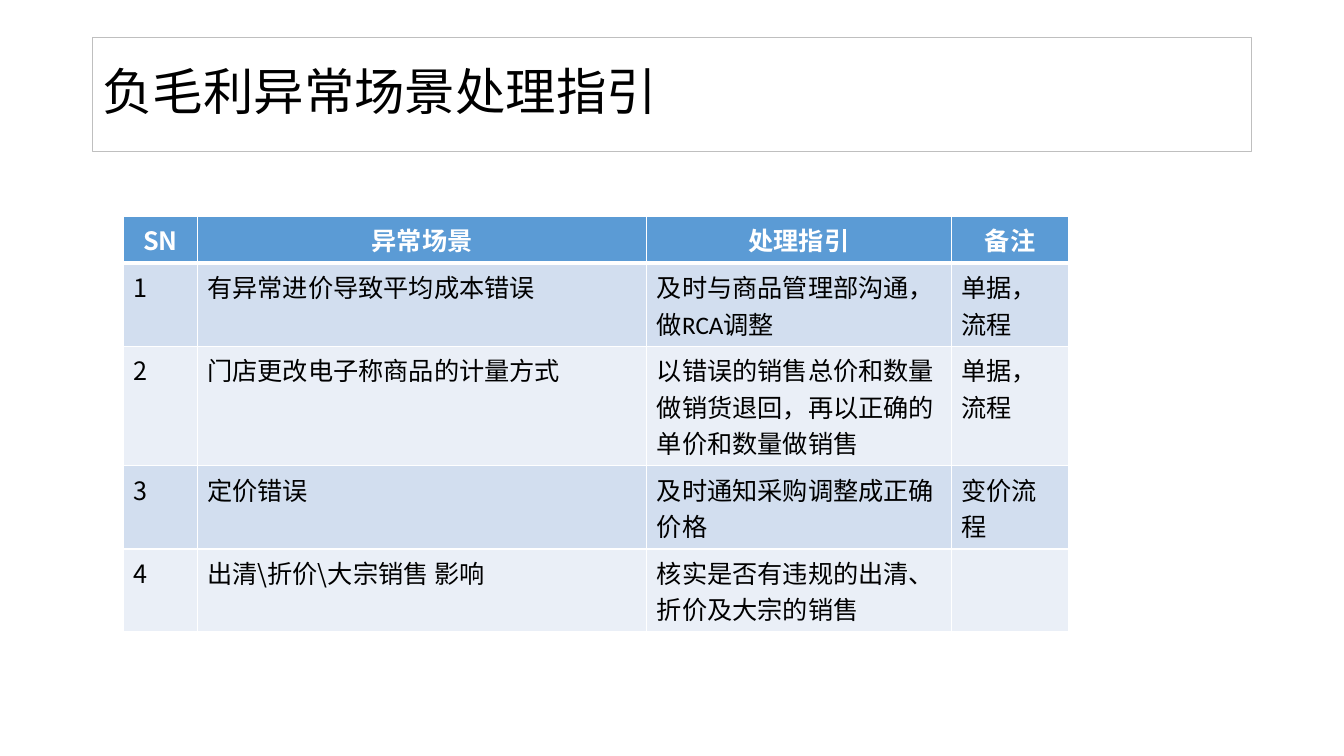
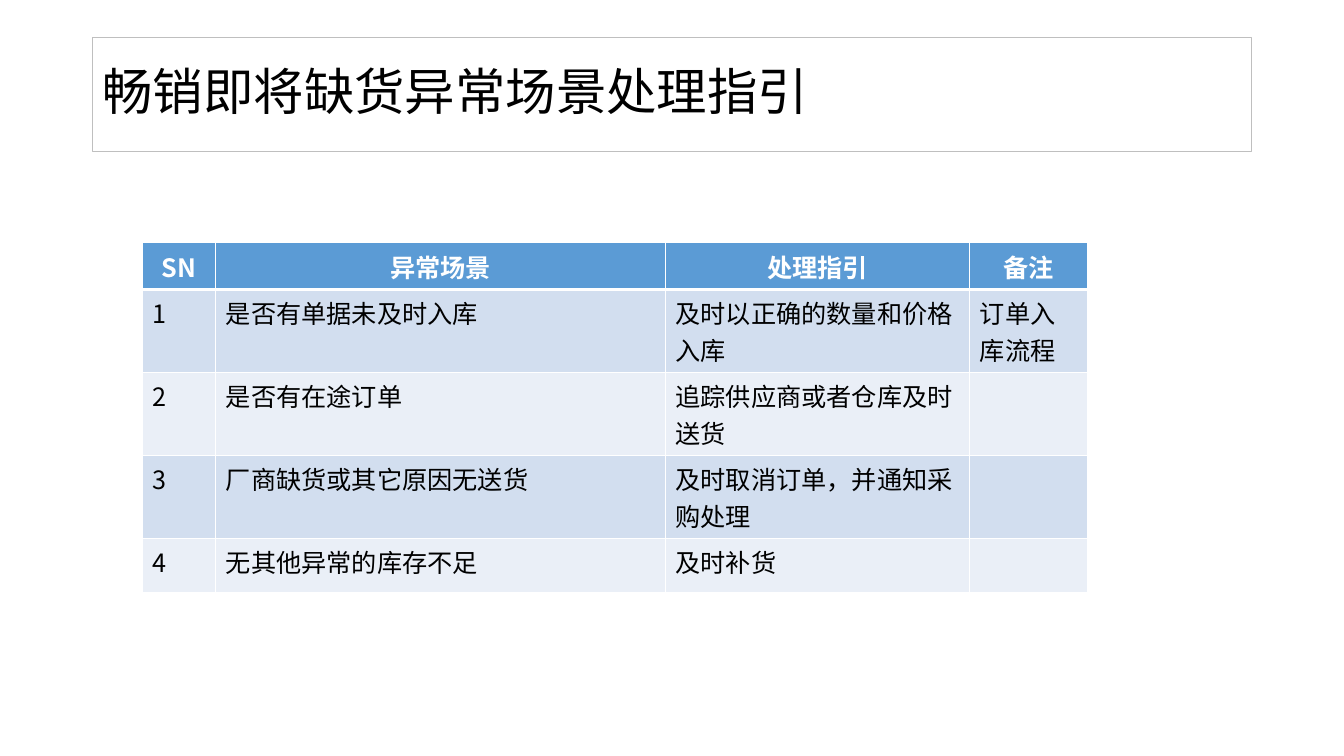
from pptx import Presentation
from pptx import util as u
from pptx.dml.color import RGBColor
from pptx.enum import text
from pptx.oxml.ns import qn
from lxml import etree

HUE = {"head": "5B9BD5", "odd": "D2DEEF", "even": "EAEFF7",
       "white": "FFFFFF", "ink": "000000", "frame": "BFBFBF"}
SANS = "Noto Sans CJK SC"
LATIN = "Calibri"
COLS = [1.85, 11.33, 7.67, 2.97]
ROWS = [1.14, 1.35, 1.35, 1.27, 1.35]
HEAD = ["SN", "异常场景", "处理指引", "备注"]

PAGES = [
    {"title": "负毛利异常场景处理指引", "left": 3.12, "top": 5.46, "cut": 2,
     "rows": [
         ["有异常进价导致平均成本错误", "及时与商品管理部沟通，做RCA调整", "单据，流程"],
         ["门店更改电子称商品的计量方式",
          "以错误的销售总价和数量做销货退回，再以正确的单价和数量做销售", "单据，流程"],
         ["定价错误", "及时通知采购调整成正确价格", "变价流程"],
         ["出清\\折价\\大宗销售 影响", "核实是否有违规的出清、折价及大宗的销售", ""]]},
    {"title": "畅销即将缺货异常场景处理指引", "left": 3.59, "top": 6.12, "cut": 3,
     "rows": [
         ["是否有单据未及时入库", "及时以正确的数量和价格入库", "订单入库流程"],
         ["是否有在途订单", "追踪供应商或者仓库及时送货", ""],
         ["厂商缺货或其它原因无送货", "及时取消订单，并通知采购处理", ""],
         ["无其他异常的库存不足", "及时补货", ""]]},
]


def add_run(para, words, size, face, hue, bold=False):
    run = para.add_run()
    run.text = words
    font = run.font
    font.size, font.bold, font.name = u.Pt(size), bold, face
    font.color.rgb = RGBColor.from_string(HUE[hue])
    east = etree.Element(qn("a:ea"), typeface=SANS)
    font._element.find(qn("a:latin")).addnext(east)


def paint(cell, hue, above, below):
    props = cell._tc.get_or_add_tcPr()
    for side, width in (("L", 1), ("R", 1), ("T", above), ("B", below)):
        edge = etree.SubElement(props, qn("a:ln" + side), w=str(u.Pt(width)))
        fill = etree.SubElement(edge, qn("a:solidFill"))
        etree.SubElement(fill, qn("a:srgbClr"), val=HUE["white"])
    cell.fill.solid()
    cell.fill.fore_color.rgb = RGBColor.from_string(HUE[hue])


deck = Presentation()
deck.slide_width, deck.slide_height = u.Cm(33.87), u.Cm(19.05)

for page in PAGES:
    slide = deck.slides.add_slide(deck.slide_layouts[5])
    title = slide.shapes.title
    title.left, title.top = u.Cm(2.33), u.Cm(0.95)
    title.width, title.height = u.Cm(29.21), u.Cm(2.87)
    title.line.color.rgb = RGBColor.from_string(HUE["frame"])
    title.line.width = u.Pt(0.75)
    body = title.text_frame
    body.auto_size = text.MSO_AUTO_SIZE.NONE
    body.vertical_anchor = text.MSO_ANCHOR.MIDDLE
    para = body.paragraphs[0]
    para.alignment = text.PP_ALIGN.LEFT
    para.line_spacing = 0.9
    add_run(para, page["title"], 36, SANS, "ink")

    grid = slide.shapes.add_table(
        len(ROWS), len(COLS), u.Cm(page["left"]), u.Cm(page["top"]),
        u.Cm(sum(COLS)), u.Cm(sum(ROWS))).table
    for col, width in zip(grid.columns, COLS):
        col.width = u.Cm(width)
    for row, height in zip(grid.rows, ROWS):
        row.height = u.Cm(height)

    lines = [HEAD] + [[str(n)] + row for n, row in enumerate(page["rows"], 1)]
    for r, line in enumerate(lines):
        top = r == 0
        band = "head" if top else "odd" if r % 2 else "even"
        cut = 1 if top else page["cut"]
        for c, words in enumerate(line):
            cell = grid.cell(r, c)
            paint(cell, band, 3 if r == 1 else 1, 3 if top else 1)
            para = cell.text_frame.paragraphs[0]
            para.alignment = text.PP_ALIGN.CENTER if top else text.PP_ALIGN.LEFT
            if words:
                add_run(para, words, 18, LATIN if c >= cut else SANS,
                        "white" if top else "ink", top)

deck.save("out.pptx")
